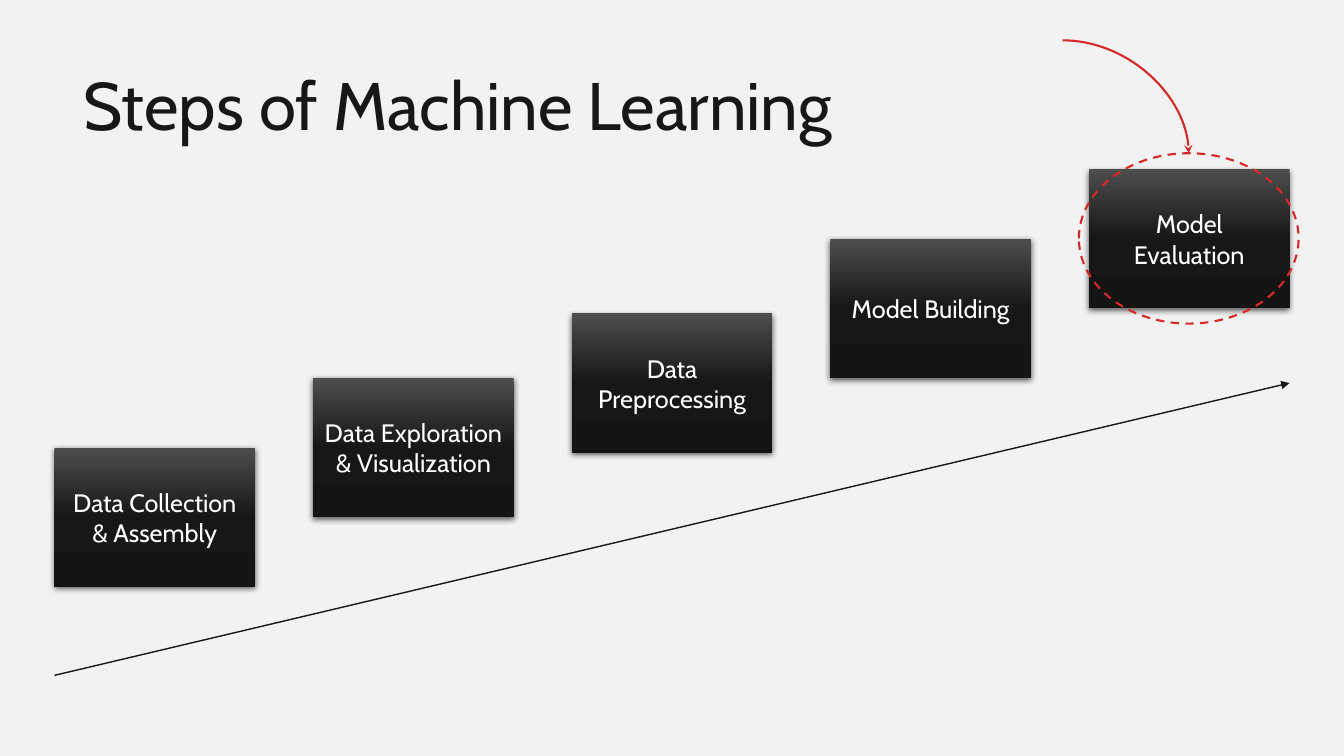
"""Build the slide with the rising steps of machine learning."""
from copy import deepcopy

from lxml import etree
from pptx import Presentation
from pptx import util as u
from pptx.dml.color import RGBColor
from pptx.enum import dml, shapes, text
from pptx.oxml.ns import qn

BACKGROUND = RGBColor(0xF2, 0xF2, 0xF2)
INK = RGBColor(0x18, 0x17, 0x17)
WHITE = RGBColor(0xFF, 0xFF, 0xFF)
RED = RGBColor(0xD6, 0x28, 0x28)
GRADIENT = [(0, RGBColor(0x4D, 0x4D, 0x4D)), (0.5, INK), (1, RGBColor(0x15, 0x14, 0x14))]

STEPS = [
    (4.44, ["Data Collection", "& Assembly"]),
    (3.75, ["Data Exploration & Visualization"]),
    (3.11, ["Data Preprocessing"]),
    (2.37, ["Model Building"]),
    (1.68, ["Model Evaluation"]),
]
STEP_LEFT, STEP_RIGHT, STEP_WIDTH, STEP_HEIGHT = 0.54, 10.8, 1.99, 1.38
STEP_PITCH = (STEP_RIGHT - STEP_LEFT) / (len(STEPS) - 1)


def sub(parent, tag, **attrs):
    return etree.SubElement(parent, qn(tag), attrs)


def assign(obj, values):
    for name, value in values.items():
        setattr(obj, name, value)


class Deck:
    font = "Cabin"

    def __init__(self, width, height):
        self.prs = Presentation()
        assign(self.prs, {"slide_width": u.Inches(width), "slide_height": u.Inches(height)})
        self.s = self.prs.slides.add_slide(self.prs.slide_layouts[5])
        self.s.background.fill.solid()
        self.s.background.fill.fore_color.rgb = BACKGROUND

    def label(self, sp, lines, size, color, align, **frame):
        tf = sp.text_frame
        tf.text = "\n".join(lines)
        assign(tf, {"word_wrap": True, **frame})
        for p in tf.paragraphs:
            p.alignment = align
            for r in p.runs:
                assign(r.font, {"name": self.font, "size": u.Pt(size)})
                r.font.color.rgb = color

    def title(self, line, *box):
        sp = self.s.shapes.title
        assign(sp, dict(zip(("left", "top", "width", "height"), map(u.Inches, box))))
        self.label(sp, [line], 48, INK, text.PP_ALIGN.LEFT,
                   vertical_anchor=text.MSO_ANCHOR.TOP,
                   auto_size=text.MSO_AUTO_SIZE.SHAPE_TO_FIT_TEXT)

    def shape(self, kind, *box):
        sp = self.s.shapes.add_shape(kind, *map(u.Inches, box))
        sp.shadow.inherit = False
        return sp

    def step(self, lines, *box):
        sp = self.shape(shapes.MSO_SHAPE.RECTANGLE, *box)
        sp.line.fill.background()
        sp.fill.gradient()
        sp.fill.gradient_angle = 270
        stops = sp._element.spPr.find(".//" + qn("a:gsLst"))
        stops.append(deepcopy(stops[0]))
        for stop, (position, color) in zip(sp.fill.gradient_stops, GRADIENT):
            stop.position = position
            stop.color.rgb = color
        shadow = sub(sp._element.spPr.find(qn("a:effectLst")), "a:outerShdw",
                     blurRad=str(u.Pt(4.5)), dist=str(u.Pt(1.5)), dir="5400000", rotWithShape="0")
        sub(sub(shadow, "a:srgbClr", val="000000"), "a:alpha", val="63000")
        self.label(sp, lines, 18, WHITE, text.PP_ALIGN.CENTER,
                   vertical_anchor=text.MSO_ANCHOR.MIDDLE)

    def ring(self, *box):
        sp = self.shape(shapes.MSO_SHAPE.OVAL, *box)
        sp.fill.background()
        self.outline(sp, RED, 1.5)
        sp.line.dash_style = dml.MSO_LINE.DASH

    def outline(self, sp, color, width):
        sp.line.color.rgb = color
        sp.line.width = u.Pt(width)

    def arrow(self, kind, start, end, color, width, head):
        c = self.s.shapes.add_connector(kind, *map(u.Inches, (*start, *end)))
        self.outline(c, color, width)
        spPr = c._element.spPr
        sub(spPr.find(qn("a:ln")), "a:tailEnd", type=head)
        sub(spPr, "a:effectLst")
        if kind == shapes.MSO_CONNECTOR.CURVE:
            spPr.find(qn("a:prstGeom")).set("prst", "curvedConnector2")


def main():
    deck = Deck(13.33, 7.5)
    deck.title("Steps of Machine Learning", 0.73, 0.58, 8.98, 0.91)
    for i, (top, lines) in enumerate(STEPS):
        deck.step(lines, STEP_LEFT + i * STEP_PITCH, top, STEP_WIDTH, STEP_HEIGHT)
    deck.arrow(shapes.MSO_CONNECTOR.STRAIGHT, (0.54, 6.7), (12.79, 3.8), INK, 1, "triangle")
    deck.ring(10.7, 1.52, 2.18, 1.69)
    deck.arrow(shapes.MSO_CONNECTOR.CURVE, (10.54, 0.4), (11.79, 1.52), RED, 1.5, "stealth")
    deck.prs.save("out.pptx")


if __name__ == "__main__":
    main()
